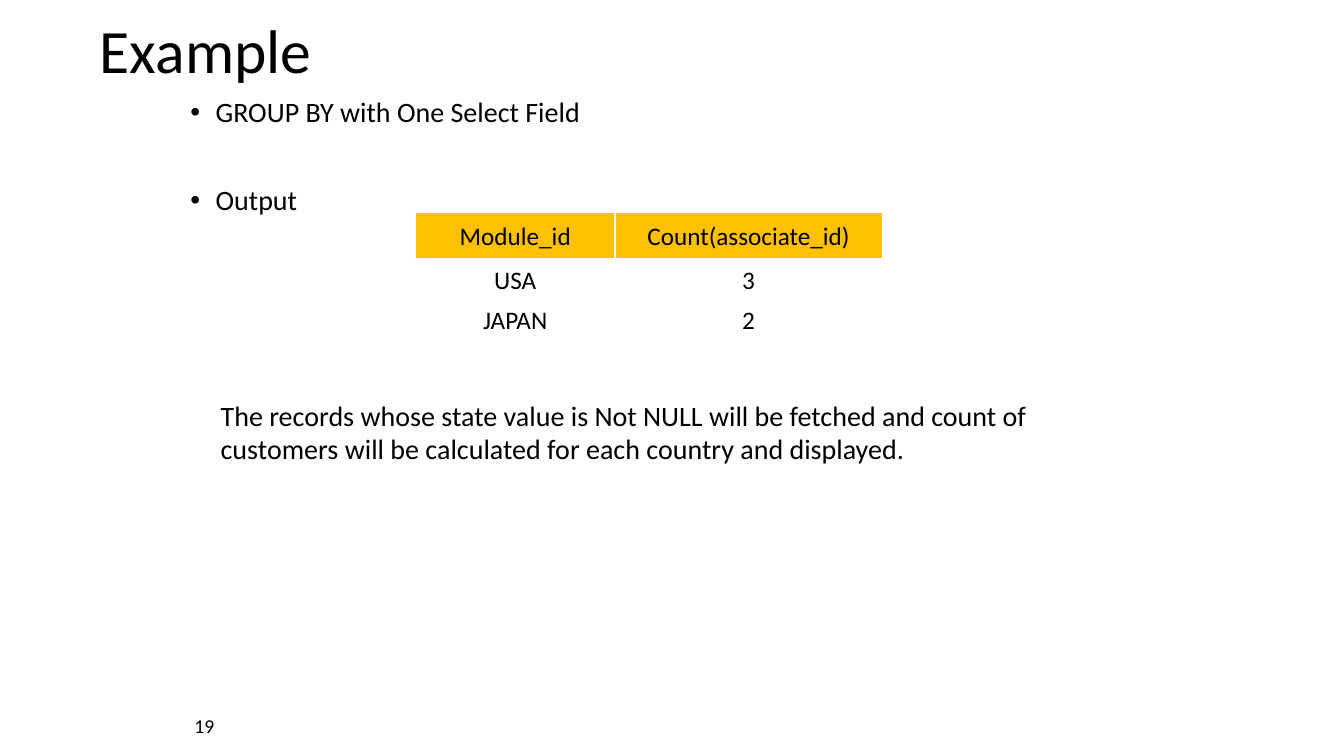
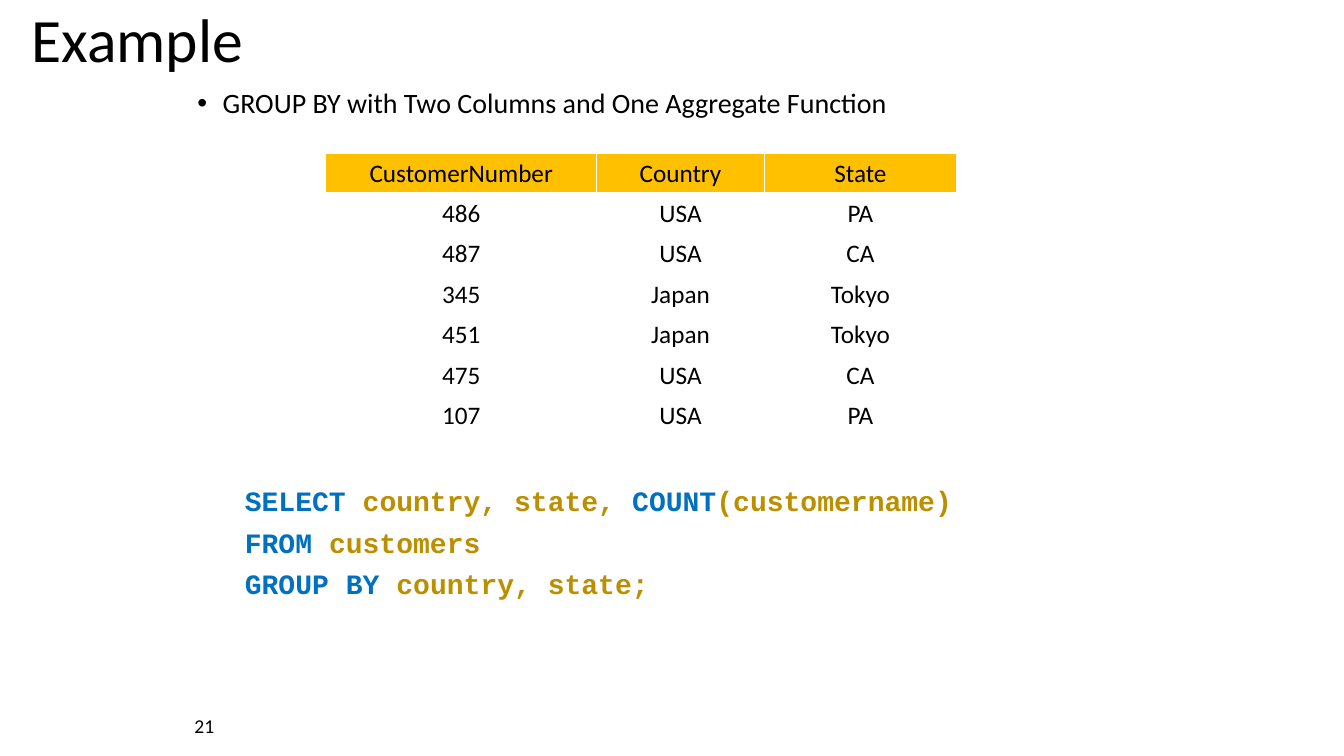
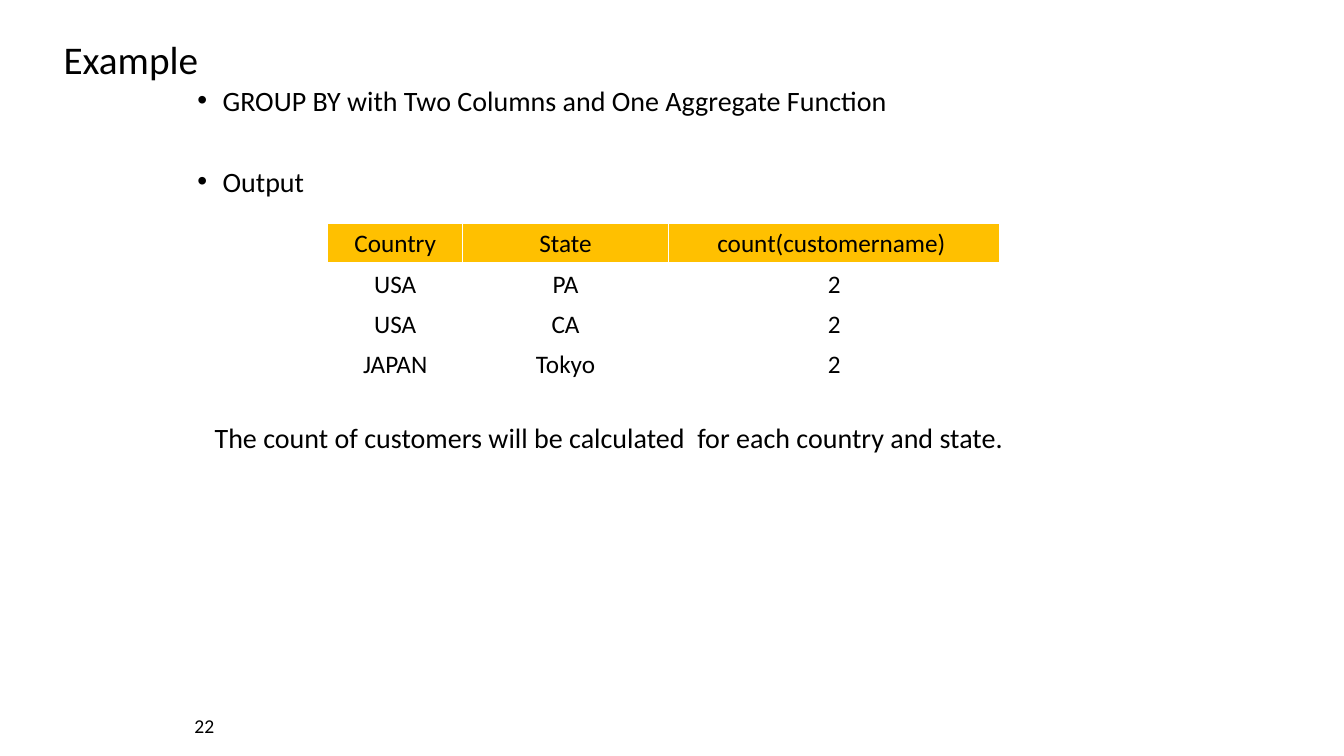
from lxml import etree
from pptx import Presentation, util as u
from pptx.dml.color import RGBColor
from pptx.enum import text
from pptx.oxml.ns import qn

BLACK = RGBColor(0x00, 0x00, 0x00)
WHITE = RGBColor(0xFF, 0xFF, 0xFF)
AMBER = RGBColor(0xFF, 0xC0, 0x00)
KEYWORD = RGBColor(0x00, 0x70, 0xC0)
IDENTIFIER = RGBColor(0xBC, 0x8F, 0x00)

BODY_FONT, CODE_FONT = "Calibri", "Courier New"
TEXT_WIDTH = 67.52
ROW_HEIGHT = 5.33


class Deck:
    """Holds the style and current slide; lengths are percent of the slide."""

    def __init__(self):
        self.prs = Presentation()
        self.prs.slide_width = u.Inches(13.33)
        self.prs.slide_height = u.Inches(7.5)
        self.s = None

    def x(self, share):
        return round(self.prs.slide_width * share / 100)

    def y(self, share):
        return round(self.prs.slide_height * share / 100)

    def box(self, left, top, width, height):
        return self.x(left), self.y(top), self.x(width), self.y(height)

    def run(self, p, words, size=20, color=BLACK, font=BODY_FONT, bold=False):
        r = p.add_run()
        r.text = words
        r.font.size = u.Pt(size)
        r.font.name = font
        r.font.bold = bold
        r.font.color.rgb = color

    def text_frame(self, *place):
        tf = self.s.shapes.add_textbox(*self.box(*place)).text_frame
        tf.word_wrap = True
        return tf

    def paragraphs(self, tf, lines):
        for i, line in enumerate(lines):
            yield (tf.add_paragraph() if i else tf.paragraphs[0]), line

    def slide(self, title, number, place, size=44):
        self.s = self.prs.slides.add_slide(self.prs.slide_layouts[5])
        sp = self.s.shapes.title
        sp.left, sp.top, sp.width, sp.height = self.box(*place)
        tf = sp.text_frame
        tf.auto_size = text.MSO_AUTO_SIZE.NONE
        tf.vertical_anchor = text.MSO_ANCHOR.MIDDLE
        p = tf.paragraphs[0]
        p.alignment = text.PP_ALIGN.LEFT
        p.line_spacing = 0.9
        self.run(p, title, size)
        # Slide number
        p = self.text_frame(13.73, 93.73, 3.75, 4).paragraphs[0]
        self.run(p, str(number), 14)

    def bullets(self, lines, left, top, height, spacing=0.9, gap=10):
        tf = self.text_frame(left, top, TEXT_WIDTH, height)
        for p, line in self.paragraphs(tf, lines):
            p.line_spacing = spacing
            p.space_before = u.Pt(gap)
            pPr = p._p.get_or_add_pPr()
            pPr.set("marL", str(u.Inches(0.25)))
            pPr.set("indent", str(-u.Inches(0.25)))
            etree.SubElement(pPr, qn("a:buFont")).set("typeface", "Arial")
            etree.SubElement(pPr, qn("a:buChar")).set("char", "•")
            self.run(p, line)

    def note(self, words, left, top, height):
        tf = self.text_frame(left, top, TEXT_WIDTH, height)
        self.run(tf.paragraphs[0], words)

    def code(self, lines, left, top, height):
        tf = self.text_frame(left, top, TEXT_WIDTH, height)
        for p, line in self.paragraphs(tf, lines):
            p.space_before = u.Pt(5.5)
            for words, color in line:
                self.run(p, words, 20, color, CODE_FONT, True)

    def borders(self, cell):
        tcPr = cell._tc.get_or_add_tcPr()
        for i, (side, width) in enumerate(
                (("lnL", 1), ("lnR", 1), ("lnT", 1), ("lnB", 3))):
            ln = etree.Element(qn(f"a:{side}"), w=str(u.Pt(width)))
            fill = etree.SubElement(ln, qn("a:solidFill"))
            etree.SubElement(fill, qn("a:srgbClr")).set("val", str(WHITE))
            tcPr.insert(i, ln)

    def table(self, rows, left, top, widths, header=ROW_HEIGHT):
        heights = [header] + [ROW_HEIGHT] * (len(rows) - 1)
        place = self.box(left, top, sum(widths), sum(heights))
        table = self.s.shapes.add_table(len(rows), len(widths), *place).table
        table.first_row = table.horz_banding = False
        for column, width in zip(table.columns, widths):
            column.width = self.x(width)
        for i, (row, height) in enumerate(zip(rows, heights)):
            table.rows[i].height = self.y(height)
            for j, words in enumerate(row):
                cell = table.cell(i, j)
                cell.vertical_anchor = text.MSO_ANCHOR.MIDDLE
                cell.fill.solid()
                cell.fill.fore_color.rgb = WHITE if i else AMBER
                if i == 0:
                    self.borders(cell)
                p = cell.text_frame.paragraphs[0]
                p.alignment = text.PP_ALIGN.CENTER
                self.run(p, words, 18)


def main():
    deck = Deck()
    two_columns = "GROUP BY with Two Columns and One Aggregate Function"

    # Output of grouping by one field
    deck.slide("Example", 19, (6.68, 0.93, 86.27, 12.4))
    deck.bullets(["GROUP BY with One Select Field", "Output"],
                 13.43, 12.4, 17.87, gap=41)
    deck.table([("Module_id", "Count(associate_id)"),
                ("USA", "3"),
                ("JAPAN", "2")],
               30.91, 28.13, (14.85, 19.88), header=6.27)
    deck.note("The records whose state value is Not NULL will be fetched and "
              "count of customers will be calculated for each country and "
              "displayed.", 15.68, 52, 17.87)

    # Source rows and the query on two columns
    deck.slide("Example", 21, (1.58, 0.13, 87.1, 11.07))
    deck.bullets([two_columns], 13.95, 11.2, 7.47)
    deck.table([("CustomerNumber", "Country", "State"),
                ("486", "USA", "PA"),
                ("487", "USA", "CA"),
                ("345", "Japan", "Tokyo"),
                ("451", "Japan", "Tokyo"),
                ("475", "USA", "CA"),
                ("107", "USA", "PA")],
               24.23, 20.27, (20.18, 12.45, 14.33))
    deck.code([[("SELECT ", KEYWORD), ("country, state, ", IDENTIFIER),
                ("COUNT", KEYWORD), ("(customername)", IDENTIFIER)],
               [("FROM", KEYWORD), (" customers", IDENTIFIER)],
               [("GROUP BY ", KEYWORD), ("country, state;", IDENTIFIER)]],
              17.48, 63.33, 20.67)

    # Output of grouping by two columns
    deck.slide("Example", 22, (3.98, -1.47, 86.27, 19.33), size=28)
    deck.bullets([two_columns, "Output"],
                 13.95, 11.2, 16.67, spacing=0.8, gap=39)
    deck.table([("Country", "State", "count(customername) "),
                ("USA", "PA", "2"),
                ("USA", "CA", "2"),
                ("JAPAN", "Tokyo", "2")],
               24.38, 29.6, (10.05, 15.3, 24.68))
    deck.note("The count of customers will be calculated  for each country "
              "and state.", 15.23, 54.93, 8.4)

    deck.prs.save("out.pptx")


if __name__ == "__main__":
    main()
